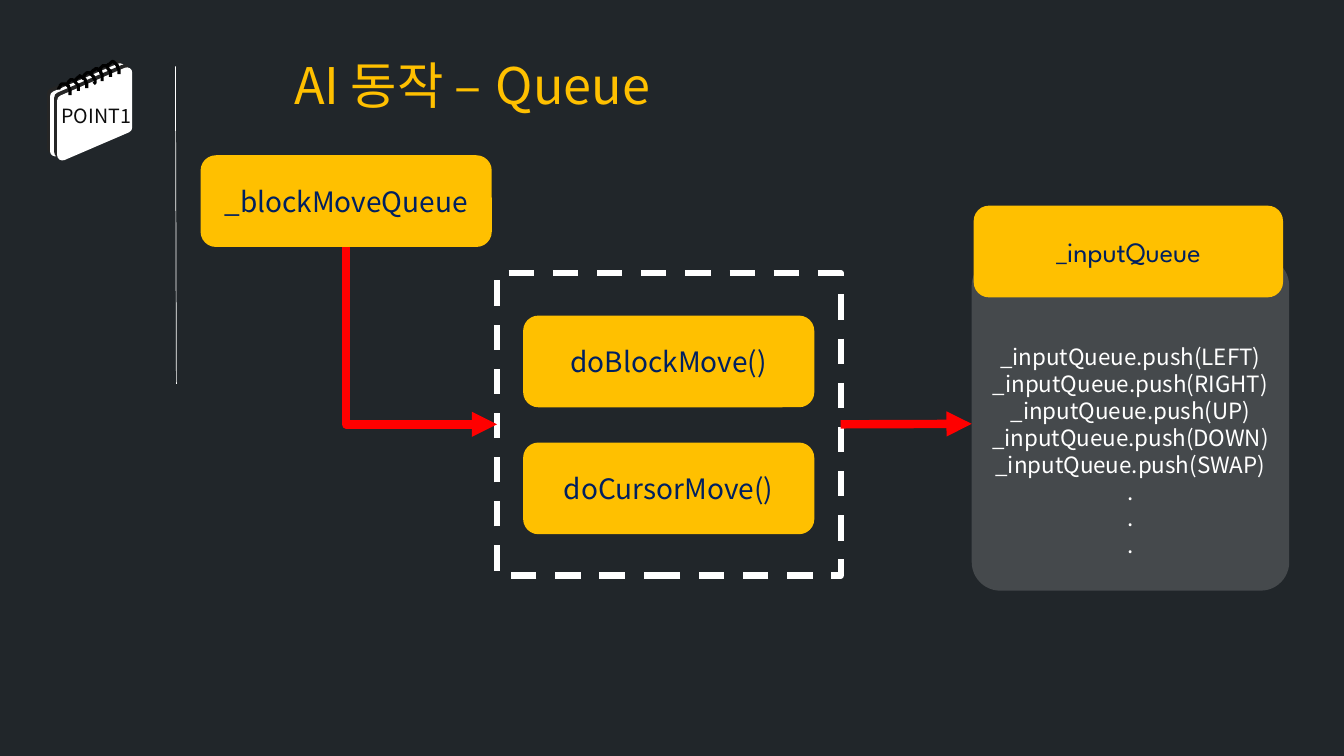
from lxml.etree import SubElement
from pptx import Presentation
from pptx.dml.color import RGBColor
from pptx.enum.dml import MSO_LINE
from pptx.enum.shapes import MSO_CONNECTOR, MSO_SHAPE
from pptx.enum.text import MSO_ANCHOR, MSO_AUTO_SIZE, PP_ALIGN
from pptx.oxml.ns import qn
from pptx.util import Pt

BACK, AMBER, NAVY, PANEL = "21262A", "FFC000", "002060", "45494C"
WHITE, BLACK, RED = "FFFFFF", "000000", "FF0000"
KR, SC, SPARTAN = "Noto Sans CJK KR", "Noto Sans CJK SC", "League Spartan"


def rgb(value):
    return RGBColor.from_string(value)


def write(tf, text, size=20, color=NAVY, font=KR, align=PP_ALIGN.CENTER,
          anchor=MSO_ANCHOR.MIDDLE, wrap=True):
    """Fill a text frame, one paragraph per line of text."""
    tf.auto_size = MSO_AUTO_SIZE.NONE
    tf.word_wrap = wrap
    tf.vertical_anchor = anchor
    for i, line in enumerate(text.split("\n")):
        p = tf.add_paragraph() if i else tf.paragraphs[0]
        p.alignment = align
        r = p.add_run()
        r.text = line
        r.font.size = Pt(size)
        r.font.color.rgb = rgb(color)
        r.font.name = font
        SubElement(r.font._element, qn("a:ea"), typeface=font)


class SlideBuilder:
    def __init__(self, prs):
        self.s = prs.slides.add_slide(prs.slide_layouts[5])
        self.s.background.fill.solid()
        self.s.background.fill.fore_color.rgb = rgb(BACK)

    def paint(self, sp, fill=None, line=None, width=1, dash=None):
        sp.shadow.inherit = False
        if fill:
            sp.fill.solid()
            sp.fill.fore_color.rgb = rgb(fill)
        else:
            sp.fill.background()
        if line:
            sp.line.color.rgb = rgb(line)
            sp.line.width = Pt(width)
            if dash:
                sp.line.dash_style = dash
        else:
            sp.line.fill.background()
        return sp

    def shape(self, kind, x, y, w, h, adj=None, **style):
        sp = self.s.shapes.add_shape(kind, Pt(x), Pt(y), Pt(w), Pt(h))
        if adj is not None:
            sp.adjustments[0] = adj
        return self.paint(sp, **style)

    def title(self, text, x, y, w, h, **fmt):
        sp = self.s.shapes.title
        sp.left, sp.top, sp.width, sp.height = Pt(x), Pt(y), Pt(w), Pt(h)
        write(sp.text_frame, text, **fmt)

    def label(self, text, x, y, w, h, **fmt):
        sp = self.s.shapes.add_textbox(Pt(x), Pt(y), Pt(w), Pt(h))
        write(sp.text_frame, text, **fmt)

    def button(self, text, x, y, w=208, h=65.5, **fmt):
        sp = self.shape(MSO_SHAPE.ROUNDED_RECTANGLE, x, y, w, h, fill=AMBER)
        write(sp.text_frame, text, **fmt)
        return sp

    def page(self, x, y):
        sp = self.shape(MSO_SHAPE.PARALLELOGRAM, x, y, 59, 46.1, adj=0.43,
                        fill=WHITE, line=WHITE, width=7.5)
        sp.rotation = 90
        sp._element.spPr.find(qn("a:xfrm")).set("flipH", "1")
        effects = sp._element.spPr.find(qn("a:effectLst"))
        shadow = SubElement(effects, qn("a:outerShdw"), dist=str(Pt(3)),
                            dir="13500000", algn="br", rotWithShape="0")
        SubElement(shadow, qn("a:srgbClr"), val="262626")

    def ring(self, x, y):
        """Binder ring: two Bezier arcs, sampled from their control points."""
        arcs = [[(0, 0), (1.1, -2.9), (3.2, -4.5), (4.7, -3.9)],
                [(4.7, -3.9), (6.1, -3.2), (9.4, 0), (8.4, 4.3)]]
        points = []
        for arc in arcs:
            for t in (i / 8 for i in range(9)):
                k = ((1 - t) ** 3, 3 * t * (1 - t) ** 2, 3 * t * t * (1 - t), t ** 3)
                points.append((x + sum(a * p[0] for a, p in zip(k, arc)),
                               y + sum(a * p[1] for a, p in zip(k, arc))))
        fb = self.s.shapes.build_freeform(*points[0], scale=Pt(1))
        fb.add_line_segments(points[1:], close=False)
        self.paint(fb.convert_to_shape(), line=BLACK, width=2.25)

    def line(self, x1, y1, x2, y2, color, width, kind=MSO_CONNECTOR.STRAIGHT):
        sp = self.s.shapes.add_connector(kind, Pt(x1), Pt(y1), Pt(x2), Pt(y2))
        sp.line.color.rgb = rgb(color)
        sp.line.width = Pt(width)
        SubElement(sp._element.spPr, qn("a:effectLst"))
        return sp

    def arrow(self, start, start_side, end, end_side, kind=MSO_CONNECTOR.STRAIGHT):
        sp = self.line(0, 0, 1, 1, RED, 6, kind)
        sp.begin_connect(start, start_side)
        sp.end_connect(end, end_side)
        SubElement(sp.line._get_or_add_ln(), qn("a:tailEnd"), type="triangle")
        return sp

    def corner_arrow(self, start, start_side, end, end_side):
        """Arrow going down, then right: a one-bend connector turned 270 degrees."""
        sp = self.arrow(start, start_side, end, end_side, MSO_CONNECTOR.ELBOW)
        w, h = sp.width, sp.height
        sp.left, sp.top = sp.left + (w - h) // 2, sp.top + (h - w) // 2
        sp.width, sp.height = h, w
        spPr = sp._element.spPr
        spPr.find(qn("a:prstGeom")).set("prst", "bentConnector2")
        xfrm = spPr.find(qn("a:xfrm"))
        xfrm.set("rot", "16200000")
        xfrm.set("flipH", "1")


def main():
    prs = Presentation()
    prs.slide_width, prs.slide_height = Pt(960), Pt(540)
    b = SlideBuilder(prs)

    # Heading and divider
    b.title("AI 동작 – \tQueue", 203, 35.3, 657.4, 51.1, size=36, color=AMBER,
            align=PP_ALIGN.LEFT, anchor=MSO_ANCHOR.TOP)
    b.line(125.3, 47.5, 126, 274.3, WHITE, 0.5)

    # Notepad badge
    b.page(33.1, 55.4)
    b.page(38.2, 58.3)
    for i in reversed(range(7)):
        b.ring(41.8 + 5.76 * i, 63.6 - 2.56 * i)
    b.label("POINT1", 35.3, 70.6, 67, 24.5, size=14, color="0D0D0D", font=SC,
            anchor=MSO_ANCHOR.TOP, wrap=False)

    # Move functions in their dashed frame
    frame = b.shape(MSO_SHAPE.RECTANGLE, 355, 195.1, 245.5, 216,
                    line=WHITE, width=4.5, dash=MSO_LINE.DASH)
    for i, name in enumerate(["doBlockMove()", "doCursorMove()"]):
        b.button(name, 373.7, 225.4 + 90.7 * i)
    source = b.button("_blockMoveQueue", 143.3, 110.9)

    # Input queue panel
    panel = b.shape(MSO_SHAPE.ROUNDED_RECTANGLE, 694.1, 183.6, 226.8, 238.3,
                    adj=0.09, fill=PANEL)
    keys = ["LEFT", "RIGHT", "UP", "DOWN", "SWAP"]
    pushes = [f"_inputQueue.push({key})" for key in keys]
    panel.text_frame.margin_top = Pt(42)
    write(panel.text_frame, "\n".join(pushes + ["."] * 3), size=16, color=WHITE)
    b.button("_inputQueue", 695.5, 146.9, w=221, font=SPARTAN)

    # Flow
    b.corner_arrow(source, 2, frame, 1)
    b.arrow(frame, 3, panel, 1)

    prs.save("out.pptx")


if __name__ == "__main__":
    main()
